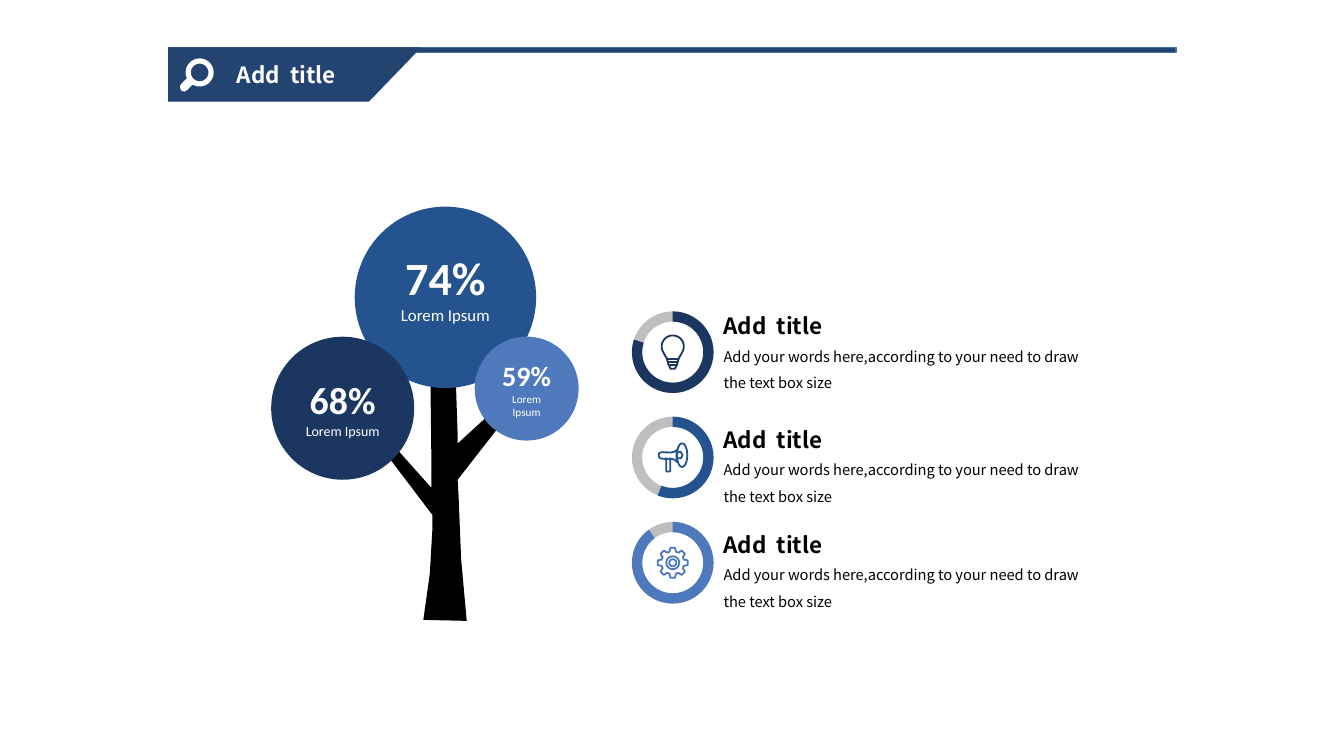
from math import cos, radians, sin

from pptx import Presentation
from pptx.dml.color import RGBColor
from pptx.enum import shapes, text
from pptx.util import Pt

WHITE = RGBColor(0xFF, 0xFF, 0xFF)
BLACK = RGBColor(0, 0, 0)
GREY = RGBColor(0xBF, 0xBF, 0xBF)
BANNER_BLUE = RGBColor(0x23, 0x43, 0x70)
EDGE_BLUE = RGBColor(0x43, 0x73, 0x9E)
NAVY = RGBColor(0x1B, 0x36, 0x61)
BLUE = RGBColor(0x25, 0x53, 0x8F)
LIGHT_BLUE = RGBColor(0x4F, 0x79, 0xBD)

BODY_FONT = "Noto Sans CJK SC"
CIRCLE_FONT = "Calibri"
HEADING = "Add  title"
DESCRIPTION = "Add your words here,according to your need to draw the text box size"

RING_SIZE = 58.3
RING_LEFT = 451.4
RING_TOP = 222.4
RING_STEP = 75.2
TEXT_LEFT = 509.8

TRUNK = [
    (307.4, 266.4), (325.4, 266.4), (326.9, 310.3), (326.9, 316.8), (352.1, 293.8),
    (360, 300.2), (326.9, 342.7), (327.6, 355), (329.4, 399.6), (333.4, 443.5),
    (302.4, 442.8), (307, 410), (308.9, 377.3), (308.9, 367.9), (272.9, 320.4),
    (278.6, 315.4), (308.2, 348.5), (308.2, 332.6),
]


def polar(radius, degrees):
    return radius * cos(radians(degrees)), radius * sin(radians(degrees))


def arc(x, y, radius_x, radius_y, start=0, end=360, steps=40):
    """Points along an elliptical arc, clockwise from the right."""
    angles = [radians(start + (end - start) * i / steps) for i in range(steps + 1)]
    return [(x + radius_x * cos(a), y + radius_y * sin(a)) for a in angles]


def paint(shape, fill=None, line=None, width=1):
    shape.shadow.inherit = False
    if fill is None:
        shape.fill.background()
    else:
        shape.fill.solid()
        shape.fill.fore_color.rgb = fill
    if line is None:
        shape.line.fill.background()
    else:
        shape.line.color.rgb = line
        shape.line.width = Pt(width)


def add_preset(slide, kind, left, top, width, height, fill, line=None):
    shape = slide.shapes.add_shape(kind, Pt(left), Pt(top), Pt(width), Pt(height))
    paint(shape, fill, line)
    return shape


def add_outline(slide, contours, fill=None, line=None, origin=(0, 0), width=1.3):
    """Draw closed contours as one freeform, shifted to origin."""
    moved = [[(Pt(origin[0] + x), Pt(origin[1] + y)) for x, y in contour] for contour in contours]
    builder = slide.shapes.build_freeform(*moved[0][0])
    for index, contour in enumerate(moved):
        if index:
            builder.move_to(*contour[0])
        builder.add_line_segments(contour[1:], close=True)
    paint(builder.convert_to_shape(), fill, line, width)


def format_text(paragraph, size, color, font=BODY_FONT, bold=False):
    for run in paragraph.runs:
        run.font.size = Pt(size)
        run.font.name = font
        run.font.bold = bold
        run.font.color.rgb = color


def add_text(slide, content, top, width, height, size, bold=False, spacing=None):
    box = slide.shapes.add_textbox(Pt(TEXT_LEFT), Pt(top), Pt(width), Pt(height))
    box.text_frame.word_wrap = True
    box.text_frame.text = content
    paragraph = box.text_frame.paragraphs[0]
    paragraph.line_spacing = spacing
    format_text(paragraph, size, BLACK, bold=bold)


def add_crown(slide, left, top, size, color, percent, percent_size, label_size, bottom=3.6):
    """Add one circle of the tree with its percentage and label."""
    circle = add_preset(slide, shapes.MSO_SHAPE.OVAL, left, top, size, size, color)
    frame = circle.text_frame
    frame.word_wrap = True
    frame.vertical_anchor = text.MSO_ANCHOR.MIDDLE
    frame.margin_bottom = Pt(bottom)
    frame.text = f"{percent}\nLorem Ipsum"
    for paragraph, font_size in zip(frame.paragraphs, (percent_size, label_size)):
        paragraph.alignment = text.PP_ALIGN.CENTER
        format_text(paragraph, font_size, WHITE, CIRCLE_FONT, font_size == percent_size)


def add_ring(slide, top, share, color):
    """Add a grey ring with a coloured share running clockwise from the top."""
    place = (RING_LEFT, top, RING_SIZE, RING_SIZE)
    track = add_preset(slide, shapes.MSO_SHAPE.DONUT, *place, GREY)
    track.adjustments[0] = 0.125
    progress = add_preset(slide, shapes.MSO_SHAPE.BLOCK_ARC, *place, color)
    end = (270 + 360 * share) % 360
    # Angles are stored in 60000ths of a degree, adjustments in 100000ths.
    for index, value in enumerate((270 * 0.6, end * 0.6, 0.126)):
        progress.adjustments[index] = value


def bulb():
    glass = arc(0, -4, 7.9, 7.9, 150, 390)
    base = [(4.2, 4.7), (3, 9), (1.5, 11.9), (-1.5, 11.9), (-3, 9), (-4.2, 4.7)]
    threads = [[(-x, y), (x, y)] for x, y in ((4.2, 4.7), (3.4, 7), (2.8, 9.3))]
    return [glass + base] + threads


def megaphone():
    horn = arc(6.7, -1.6, 3.7, 8.4)
    body = [(3.2, -5.4), (1.2, -4.1), (-1.2, -3.5), (-8, -3.7), (-9.8, -3), (-10, -1.6),
            (-9.8, -0.2), (-8, 1), (-1.2, 1), (1.2, 1.6), (3.2, 3.3)]
    nub = [(2.8, -3.8), (5.8, -3.8), (7, -1.6), (5.8, 0.6), (2.8, 0.6)]
    handle = [(-5.6, 1), (-4.6, 2), (-4.6, 10), (-1.7, 10), (-1.7, 1)]
    return [horn, body, nub, handle]


def gear():
    tooth = ((8.2, -16), (10.8, -9), (10.8, 9), (8.2, 16))
    teeth = [polar(radius, turn + angle) for turn in range(0, 360, 45) for radius, angle in tooth]
    return [teeth, arc(0, 0, 4.6, 4.6), arc(0, 0, 2.5, 2.5)]


def add_header(slide):
    add_preset(slide, shapes.MSO_SHAPE.RECTANGLE, 120.2, 33.8, 720, 3.6, BANNER_BLUE, EDGE_BLUE)
    banner = [(120.2, 33.8), (301, 33.8), (263.5, 72.7), (120.2, 72.7)]
    add_outline(slide, [banner], BANNER_BLUE)
    handle = [(137.5, 60.5), (134, 64.1), (131.8, 65.5), (129.3, 64.6),
              (128.4, 62), (129.6, 59.8), (133.2, 56.2)]
    lens = arc(142.6, 51.8, 10, 10, 155, 475)
    add_outline(slide, [lens + handle, arc(142.6, 51.8, 6.3, 6.3)], WHITE)

    title = slide.shapes.title
    title.left, title.top, title.width, title.height = Pt(162), Pt(40.3), Pt(97.2), Pt(26.6)
    frame = title.text_frame
    frame.text = HEADING
    frame.word_wrap = True
    frame.auto_size = text.MSO_AUTO_SIZE.NONE
    frame.vertical_anchor = text.MSO_ANCHOR.TOP
    frame.paragraphs[0].alignment = text.PP_ALIGN.LEFT
    format_text(frame.paragraphs[0], 16, WHITE, bold=True)
    slide.shapes._spTree.append(title._element)  # bring in front of the banner


def add_tree(slide):
    add_outline(slide, [TRUNK], BLACK)
    add_crown(slide, 253.4, 147.6, 129.6, BLUE, "74%", 33, 12, bottom=18.2)
    add_crown(slide, 339.1, 240.5, 74.2, LIGHT_BLUE, "59%", 20, 8)
    add_crown(slide, 193.7, 240.5, 102.2, NAVY, "68%", 27, 10)


def add_items(slide):
    items = [
        (0.8, NAVY, bulb(), 219.6),
        (0.56, BLUE, megaphone(), 301),
        (0.9, LIGHT_BLUE, gear(), 375.8),
    ]
    for row, (share, color, icon, heading_top) in enumerate(items):
        top = RING_TOP + row * RING_STEP
        add_ring(slide, top, share, color)
        center = (RING_LEFT + RING_SIZE / 2, top + RING_SIZE / 2)
        add_outline(slide, icon, line=color, origin=center)
        add_text(slide, DESCRIPTION, heading_top + 18.7, 269.3, 45.4, 10.5, spacing=1.5)
        add_text(slide, HEADING, heading_top, 93.6, 26.6, 16, bold=True)


def main():
    presentation = Presentation()
    presentation.slide_width, presentation.slide_height = Pt(960), Pt(540)
    slide = presentation.slides.add_slide(presentation.slide_layouts[5])
    add_header(slide)
    add_tree(slide)
    add_items(slide)
    presentation.save("out.pptx")


if __name__ == "__main__":
    main()
